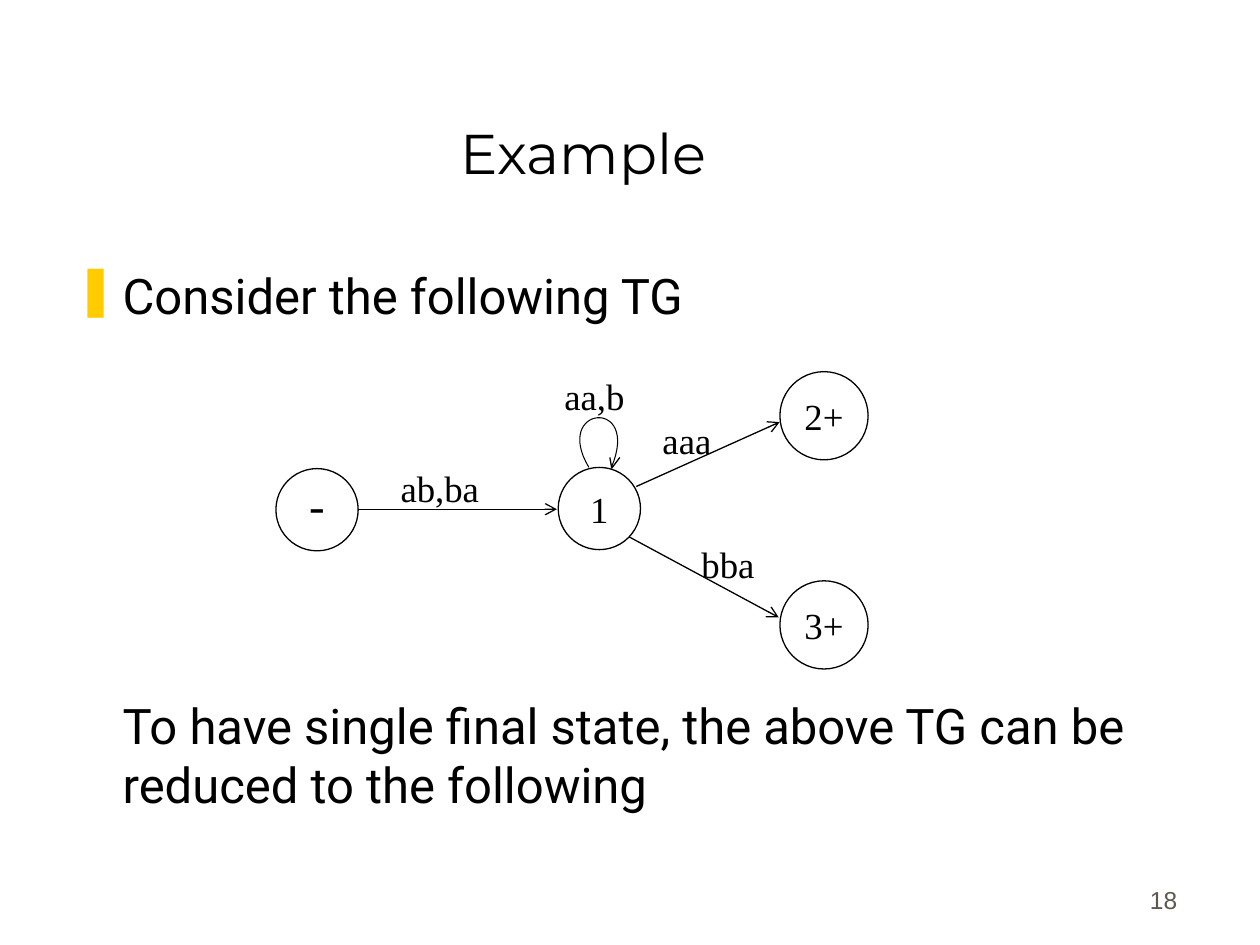
from dataclasses import dataclass

from lxml.etree import SubElement
from pptx import Presentation
from pptx.dml.color import RGBColor
from pptx.enum.shapes import MSO_CONNECTOR, MSO_SHAPE
from pptx.enum.text import MSO_ANCHOR as Anchor, PP_ALIGN as Align
from pptx.oxml.ns import qn
from pptx.util import Pt


@dataclass(frozen=True)
class Theme:
    ink: str = "000000"
    paper: str = "FFFFFF"
    accent: str = "FFCC00"
    muted: str = "5E574E"
    title_font: str = "Montserrat"
    body_font: str = "Roboto"
    graph_font: str = "Times New Roman"
    number_font: str = "Arial"
    title_size: float = 32
    body_size: float = 28
    graph_size: float = 21
    start_size: float = 26.8
    number_size: float = 14
    stroke: float = 0.75
    thin_stroke: float = 0.6


class TransitionGraphSlide:
    def __init__(self, slide, theme):
        self.shapes = slide.shapes
        self.theme = theme

    def set_words(self, shape, words, font, size, color, align, anchor, insets):
        """Fill a shape with one paragraph; insets are left/right, top, bottom."""
        frame = shape.text_frame
        frame.word_wrap = True
        frame.vertical_anchor = anchor
        side, top, bottom = insets
        frame.margin_left = frame.margin_right = Pt(side)
        frame.margin_top, frame.margin_bottom = Pt(top), Pt(bottom)
        frame.text = words
        paragraph = frame.paragraphs[0]
        paragraph.alignment = align
        run_font = paragraph.runs[0].font
        run_font.name, run_font.size = font, Pt(size)
        run_font.color.rgb = RGBColor.from_string(color)
        return paragraph

    def text(self, words, left, top, width, height, font, size, color=None,
             align=Align.LEFT, anchor=Anchor.TOP, insets=(7.2, 3.6, 3.6)):
        box = self.shapes.add_textbox(Pt(left), Pt(top), Pt(width), Pt(height))
        return self.set_words(box, words, font, size, color or self.theme.ink,
                              align, anchor, insets)

    def body(self, words, top, height, bullet=None):
        paragraph = self.text(words, 36, top, 643.7, height,
                              self.theme.body_font, self.theme.body_size)
        properties = paragraph._p.get_or_add_pPr()
        properties.set("marL", str(Pt(27)))
        properties.set("indent", str(Pt(-27 if bullet else 0)))
        if bullet:
            color = SubElement(properties, qn("a:buClr"))
            SubElement(color, qn("a:srgbClr"), val=self.theme.accent)
            SubElement(properties, qn("a:buChar"), char=bullet)

    def edge_label(self, words, left, top):
        self.text(words, left, top, 72, 40,
                  self.theme.graph_font, self.theme.graph_size)

    def stroke(self, line, width):
        line.color.rgb = RGBColor.from_string(self.theme.ink)
        line.width = Pt(width)

    def state(self, label, left, top, diameter, size=None, rise=0):
        circle = self.shapes.add_shape(MSO_SHAPE.OVAL, Pt(left), Pt(top),
                                       Pt(diameter), Pt(diameter))
        circle.shadow.inherit = False
        circle.fill.solid()
        circle.fill.fore_color.rgb = RGBColor.from_string(self.theme.paper)
        self.stroke(circle.line, self.theme.stroke)
        self.set_words(circle, label, self.theme.graph_font,
                       size or self.theme.graph_size, self.theme.ink,
                       Align.CENTER, Anchor.MIDDLE, (0, 0, 2 * rise))

    def transition(self, start, end):
        arrow = self.shapes.add_connector(
            MSO_CONNECTOR.STRAIGHT, *(Pt(value) for value in (*start, *end)))
        self.stroke(arrow.line, self.theme.stroke)
        SubElement(arrow.line._get_or_add_ln(), qn("a:tailEnd"), type="arrow")
        SubElement(arrow._element.spPr, qn("a:effectLst"))

    def outline(self, points, width):
        """Draw an open, unfilled line through the points."""
        first, *rest = [(Pt(x), Pt(y)) for x, y in points]
        builder = self.shapes.build_freeform(*first)
        builder.add_line_segments(rest, close=False)
        curve = builder.convert_to_shape()
        curve.shadow.inherit = False
        curve.fill.background()
        self.stroke(curve.line, width)

    def loop(self, controls, head, steps=32):
        """Draw a cubic curve that returns to its state, with an open head."""
        def point(t):
            weights = ((1 - t) ** 3, 3 * t * (1 - t) ** 2,
                       3 * t ** 2 * (1 - t), t ** 3)
            return [sum(w * c for w, c in zip(weights, axis))
                    for axis in zip(*controls)]

        self.outline([point(i / steps) for i in range(steps + 1)],
                     self.theme.thin_stroke)
        self.outline(head, self.theme.stroke)


def main():
    theme = Theme()
    deck = Presentation()
    deck.slide_width, deck.slide_height = Pt(720), Pt(540)
    page = TransitionGraphSlide(
        deck.slides.add_slide(deck.slide_layouts[6]), theme)

    page.text("18", 530, 490.3, 149.8, 36, theme.number_font,
              theme.number_size, theme.muted, Align.RIGHT, Anchor.BOTTOM)
    page.text("Example ", 31.7, 18, 612, 90, theme.title_font,
              theme.title_size, align=Align.CENTER, anchor=Anchor.BOTTOM,
              insets=(7.2, 3.6, 1.8))
    page.body("Consider the following TG", 148.3, 45, bullet="❚")
    page.body("To have single final state, the above TG can be reduced "
              "to the following", 394, 80)

    page.transition((203.8, 291), (318.2, 291))
    page.transition((363.6, 278), (445.5, 241.2))
    page.transition((359.3, 306.7), (445, 352.8))

    page.state("-", 157.7, 267.8, 47, size=theme.start_size, rise=3.5)
    page.state("1", 319, 267.1, 47)
    for label, top in (("2+", 212.4), ("3+", 331.9)):
        page.state(label, 445.7, top, 50.4)
    page.loop([(336.5, 267.1), (315.4, 231.8), (366.5, 226.8), (349.4, 267.1)],
              head=[(348.5, 261.4), (349.6, 267.5), (354.2, 261.4)])

    for label, left, top in (("ab,ba", 221.8, 262.8), ("aa,b", 315.4, 210.2),
                             ("aaa", 371.5, 235.4), ("bba", 393.8, 306)):
        page.edge_label(label, left, top)

    deck.save("out.pptx")


if __name__ == "__main__":
    main()
